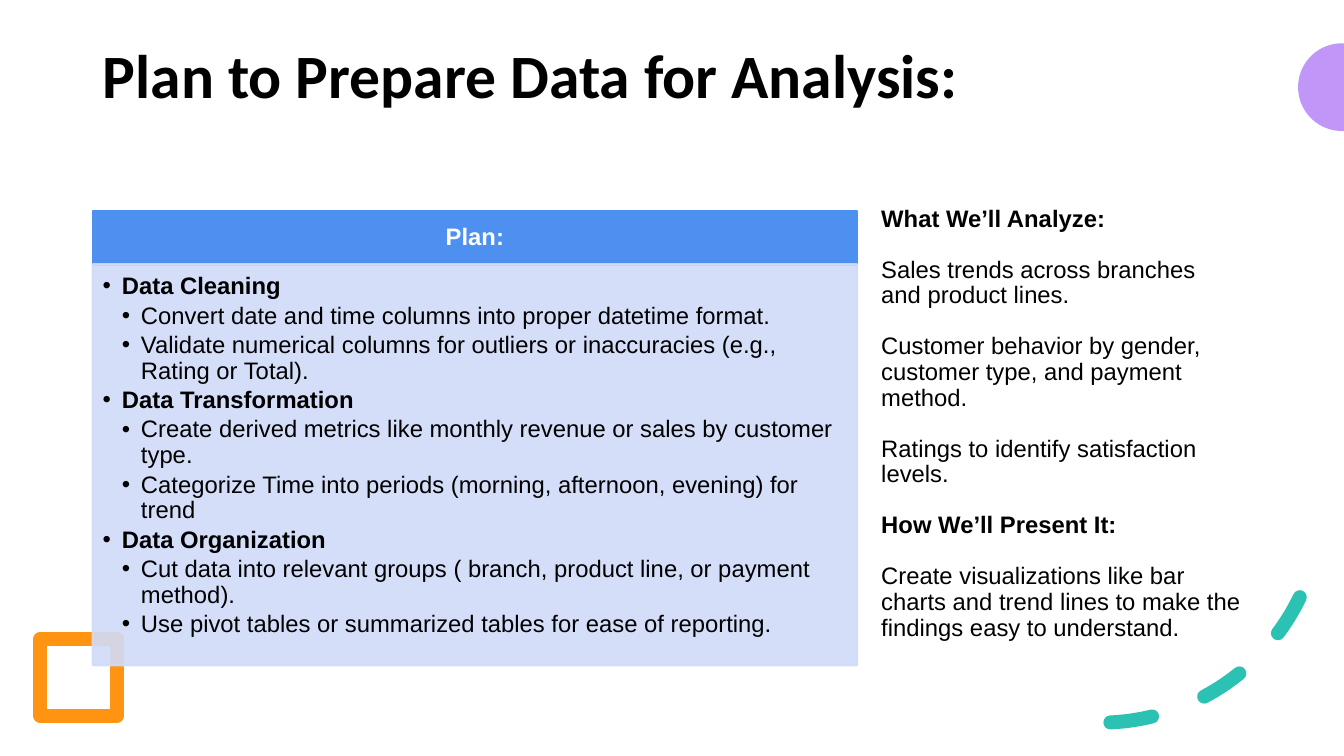
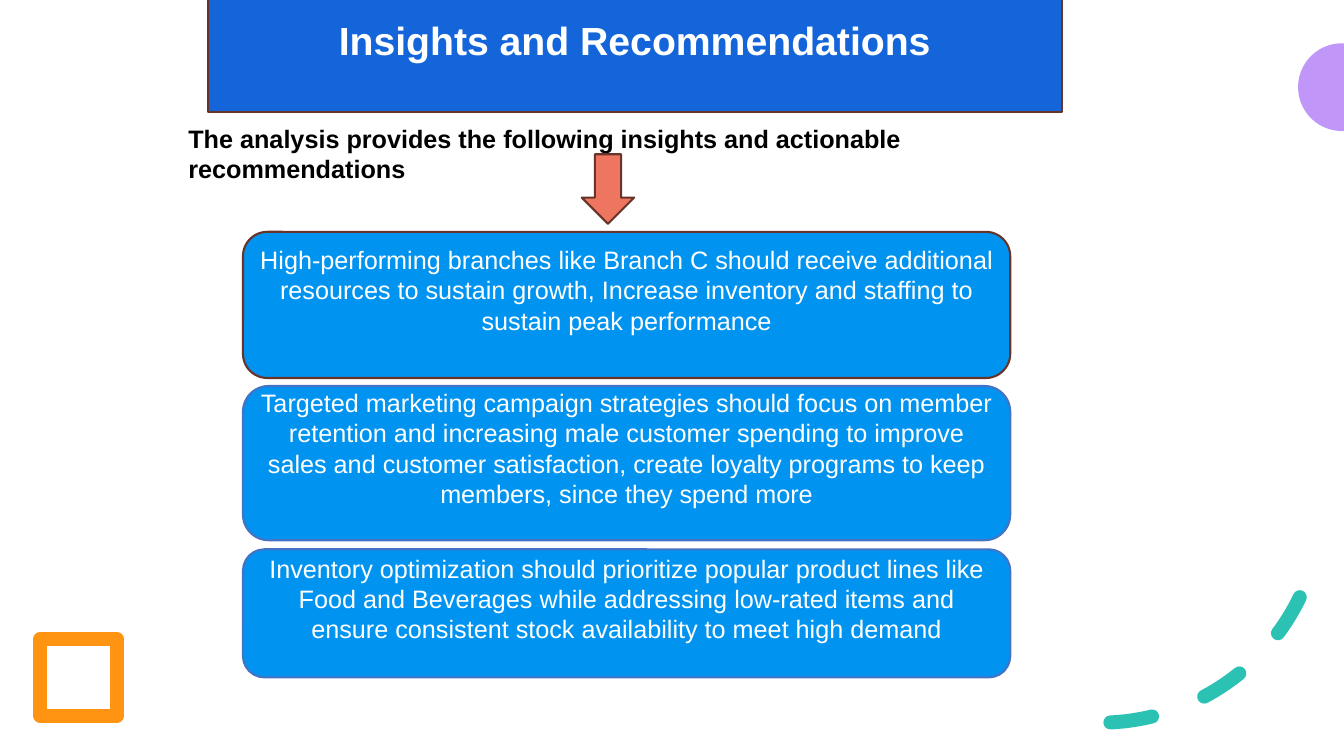
import math

from lxml import etree
from pptx import Presentation, util as u
from pptx.dml.color import RGBColor
from pptx.enum import dml, shapes, text
from pptx.oxml import ns

# Shared colours and fonts
BLACK = RGBColor(0x00, 0x00, 0x00)
WHITE = RGBColor(0xFF, 0xFF, 0xFF)
ORANGE = RGBColor(0xFF, 0x94, 0x13)
TEAL = RGBColor(0x2B, 0xC2, 0xB4)
PURPLE = RGBColor(0xC0, 0x97, 0xF8)
HEADER_BLUE = RGBColor(0x4D, 0x90, 0xEF)
PALE_BLUE = RGBColor(0xD0, 0xDB, 0xF9)
BAND_BLUE = RGBColor(0x14, 0x65, 0xD9)
CARD_BLUE = RGBColor(0x00, 0x94, 0xF0)
EDGE_BLUE = RGBColor(0x44, 0x72, 0xC4)
BROWN = RGBColor(0x68, 0x34, 0x2A)
CORAL = RGBColor(0xEE, 0x76, 0x60)
BODY_FONT, TITLE_FONT = "Arial", "Calibri"

SHAPE = shapes.MSO_SHAPE
ALIGN = text.PP_ALIGN
ANCHOR = text.MSO_ANCHOR

# Slide content
PLAN = [
    ("Data Cleaning", [
        "Convert date and time columns into proper datetime format.",
        "Validate numerical columns for outliers or inaccuracies (e.g., Rating or Total).",
    ]),
    ("Data Transformation", [
        "Create derived metrics like monthly revenue or sales by customer type.",
        "Categorize Time into periods (morning, afternoon, evening) for trend",
    ]),
    ("Data Organization", [
        "Cut data into relevant groups ( branch, product line, or payment method).",
        "Use pivot tables or summarized tables for ease of reporting.",
    ]),
]
APPROACH = [
    ("What We’ll Analyze:", [
        "Sales trends across branches and product lines.",
        "Customer behavior by gender, customer type, and payment method.",
        "Ratings to identify satisfaction levels.",
    ]),
    ("How We’ll Present It:", [
        "Create visualizations like bar charts and trend lines to make the "
        "findings easy to understand.",
    ]),
]
# top, height, edge colour, text
INSIGHTS = [
    (2.3, 1.45, BROWN,
     "High-performing branches like Branch C should receive additional resources to "
     "sustain growth, Increase inventory and staffing to sustain peak performance"),
    (3.83, 1.53, EDGE_BLUE,
     "Targeted marketing campaign strategies should focus on member retention and "
     "increasing male customer spending to improve sales and customer satisfaction, "
     "create loyalty programs to keep members, since they spend more"),
    (5.45, 1.27, EDGE_BLUE,
     "Inventory optimization should prioritize popular product lines like Food and "
     "Beverages while addressing low-rated items and ensure consistent stock "
     "availability to meet high demand"),
]


# Helpers
def place(sp, left, top, width, height):
    sp.left, sp.top = u.Inches(left), u.Inches(top)
    sp.width, sp.height = u.Inches(width), u.Inches(height)


def paint(sp, fill=None, line=None, weight=1.5):
    if fill is None:
        sp.fill.background()
    else:
        sp.fill.solid()
        sp.fill.fore_color.rgb = fill
    if line is None:
        sp.line.fill.background()
    else:
        sp.line.color.rgb = line
        sp.line.width = u.Pt(weight)


def add_shape(s, kind, box, fill=None, line=None, weight=1.5):
    sp = s.shapes.add_shape(kind, *map(u.Inches, box))
    sp.shadow.inherit = False
    paint(sp, fill, line, weight)
    return sp


def set_frame(sp, anchor, insets=(0.1, 0.05, 0.1, 0.05)):
    tf = sp.text_frame
    tf.word_wrap = True
    tf.auto_size = text.MSO_AUTO_SIZE.NONE
    tf.vertical_anchor = anchor
    (tf.margin_left, tf.margin_top,
     tf.margin_right, tf.margin_bottom) = map(u.Inches, insets)
    return tf


def add_text(tf, words, size, color=BLACK, bold=False, font=BODY_FONT,
             align=ALIGN.LEFT, spacing=1.0, before=0, after=0):
    p = tf.paragraphs[0]
    if p.runs:
        p = tf.add_paragraph()
    p.alignment, p.line_spacing = align, spacing
    p.space_before, p.space_after = u.Pt(before), u.Pt(after)
    r = p.add_run()
    r.text = words
    r.font.name, r.font.size, r.font.bold = font, u.Pt(size), bold
    r.font.color.rgb = color
    return p


def set_bullet(p, level=0):
    """Level 0 has no bullet; deeper levels hang by one step each."""
    step = u.Inches(0.19)
    pPr = p._p.get_or_add_pPr()
    pPr.set("marL", str(step * level))
    pPr.set("indent", str(-step if level else 0))
    if level:
        etree.SubElement(pPr, ns.qn("a:buFont")).set("typeface", BODY_FONT)
        etree.SubElement(pPr, ns.qn("a:buChar")).set("char", "•")
    else:
        etree.SubElement(pPr, ns.qn("a:buNone"))


def set_opacity(sp, percent):
    for color in sp._element.spPr.iter(ns.qn("a:srgbClr")):
        etree.SubElement(color, ns.qn("a:alpha")).set("val", str(percent * 1000))


def add_decor(s):
    # Square with rounded corners
    square = add_shape(s, SHAPE.RECTANGLE, (0.4, 6.34, 0.76, 0.76), line=ORANGE, weight=10)
    etree.SubElement(square.line._get_or_add_ln(), ns.qn("a:round"))

    # Dashed arc
    arc = add_shape(s, SHAPE.ARC, (8.71, 2.77, 4.4, 4.4), line=TEAL, weight=10)
    arc.adjustments[0], arc.adjustments[1] = 162, 200.93
    arc.rotation = 357.3
    arc.line.dash_style = dml.MSO_LINE.DASH
    arc.line._get_or_add_ln().set("cap", "rnd")
    arc._element.spPr.find(ns.qn("a:xfrm")).set("flipV", "1")

    # Circle cut off by the right edge
    cx, cy, radius, edge = 13.31, 0.865, 0.435, 13.33
    angles = [math.radians(a) for a in range(90, 271, 3)]
    points = [(cx + radius * math.cos(a), cy + radius * math.sin(a)) for a in angles]
    points += [(edge, cy - radius), (edge, cy + radius)]
    points = [(u.Inches(x), u.Inches(y)) for x, y in points]
    builder = s.shapes.build_freeform(*points[0])
    builder.add_line_segments(points[1:], close=True)
    disc = builder.convert_to_shape()
    disc.shadow.inherit = False
    paint(disc, PURPLE)


def add_slide(prs, layout):
    s = prs.slides.add_slide(prs.slide_layouts[layout])
    add_decor(s)
    return s


# Slides
def build_plan(prs):
    s = add_slide(prs, 1)
    title = s.shapes.title
    place(title, 0.92, 0.4, 11.5, 1.45)
    add_text(set_frame(title, ANCHOR.TOP), "Plan to Prepare Data for Analysis:", 44,
             bold=True, font=TITLE_FONT, spacing=0.9)

    # Analysis and presentation column
    body = s.placeholders[1]
    place(body, 8.64, 2, 3.77, 4.7)
    tf = set_frame(body, ANCHOR.TOP)
    for heading, items in APPROACH:
        for words in [heading, *items]:
            p = add_text(tf, words, 17, bold=words == heading,
                         spacing=0.9, before=10, after=8)
            set_bullet(p)

    # Plan panel
    header = add_shape(s, SHAPE.RECTANGLE, (0.92, 2.09, 7.58, 0.54),
                       HEADER_BLUE, HEADER_BLUE)
    add_text(set_frame(header, ANCHOR.MIDDLE), "Plan:", 17, WHITE, True,
             align=ALIGN.CENTER, spacing=0.9)
    panel = add_shape(s, SHAPE.RECTANGLE, (0.92, 2.62, 7.58, 3.98), PALE_BLUE, PALE_BLUE)
    set_opacity(panel, 90)
    tf = set_frame(panel, ANCHOR.TOP, (0.1, 0.1, 0.13, 0.15))
    for heading, items in PLAN:
        for words in [heading, *items]:
            is_heading = words == heading
            p = add_text(tf, words, 17, bold=is_heading, spacing=0.9, after=2.6)
            set_bullet(p, 1 if is_heading else 2)


def build_insights(prs):
    s = add_slide(prs, 5)
    raised = (0.1, 0, 0.1, 0.3)  # lifts text above the middle

    # Title band
    title = s.shapes.title
    place(title, 2.06, -0.01, 8.47, 1.12)
    paint(title, BAND_BLUE, BROWN)
    add_text(set_frame(title, ANCHOR.MIDDLE, raised), "Insights and Recommendations",
             28, WHITE, True, align=ALIGN.CENTER)

    # Recommendation cards
    for top, height, edge, words in INSIGHTS:
        card = add_shape(s, SHAPE.ROUNDED_RECTANGLE, (2.41, top, 7.61, height),
                         CARD_BLUE, edge)
        add_text(set_frame(card, ANCHOR.MIDDLE, raised), words, 18, WHITE,
                 align=ALIGN.CENTER)

    # Lead-in and arrow
    lead = s.shapes.add_textbox(*map(u.Inches, (1.77, 1.17, 9.06, 0.71)))
    add_text(set_frame(lead, ANCHOR.TOP),
             "The analysis provides the following insights and actionable recommendations",
             18, bold=True)
    add_shape(s, SHAPE.DOWN_ARROW, (5.77, 1.53, 0.52, 0.69), CORAL, BROWN)


def main():
    prs = Presentation()
    prs.slide_width, prs.slide_height = u.Inches(13.33), u.Inches(7.5)
    build_plan(prs)
    build_insights(prs)
    prs.save("out.pptx")


if __name__ == "__main__":
    main()
